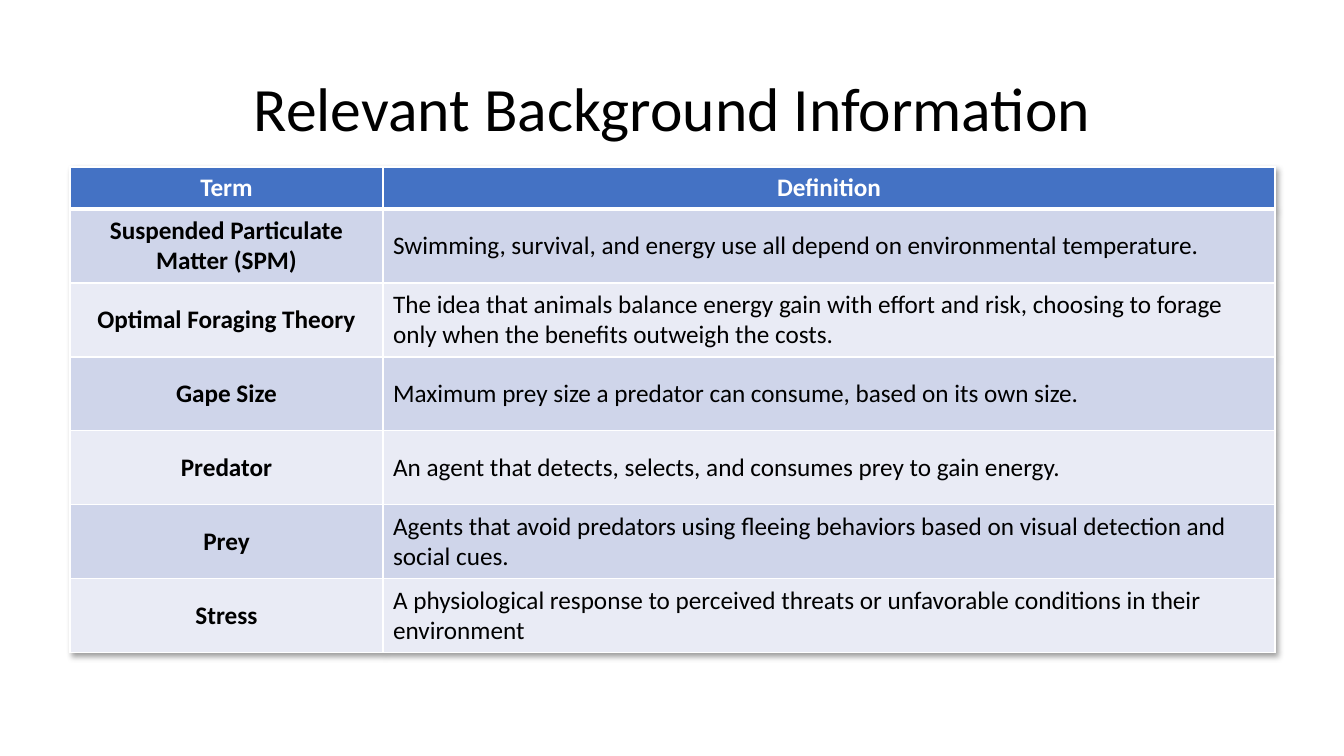
import pptx
import pptx.dml.color
import pptx.enum.text
import pptx.oxml
import pptx.oxml.ns
import pptx.util

RGB = pptx.dml.color.RGBColor
BLACK = RGB(0x00, 0x00, 0x00)
WHITE = RGB(0xFF, 0xFF, 0xFF)
BLUE = RGB(0x44, 0x72, 0xC4)
BANDS = [RGB(0xCF, 0xD5, 0xEA), RGB(0xE9, 0xEB, 0xF5)]
CENTER = pptx.enum.text.PP_ALIGN.CENTER
LEFT = pptx.enum.text.PP_ALIGN.LEFT
MIDDLE = pptx.enum.text.MSO_ANCHOR.MIDDLE

SLIDE_W, SLIDE_H = 1344, 756
HEAD_H, ROW_H = 42, 74
COL_W = [313, 892]
TERMS = [
    ("Term", "Definition"),
    ("Suspended Particulate Matter (SPM)",
     "Swimming, survival, and energy use all depend on environmental temperature."),
    ("Optimal Foraging Theory",
     "The idea that animals balance energy gain with effort and risk, "
     "choosing to forage only when the benefits outweigh the costs."),
    ("Gape Size", "Maximum prey size a predator can consume, based on its own size."),
    ("Predator", "An agent that detects, selects, and consumes prey to gain energy."),
    ("Prey",
     "Agents that avoid predators using fleeing behaviors based on visual "
     "detection and social cues."),
    ("Stress",
     "A physiological response to perceived threats or unfavorable conditions "
     "in their environment"),
]


def px(n):
    return pptx.util.Emu(round(n * 12192000 / SLIDE_W))


def write(tf, text, align, size, color, bold):
    p = tf.paragraphs[0]
    p.alignment = align
    r = p.add_run()
    r.text = text
    r.font.color.rgb = color
    font = {"name": "Calibri", "size": pptx.util.Pt(size), "bold": bold}
    for name, value in font.items():
        setattr(r.font, name, value)


prs = pptx.Presentation()
prs.slide_width, prs.slide_height = px(SLIDE_W), px(SLIDE_H)
s = prs.slides.add_slide(prs.slide_layouts[5])

# Title
title = s.shapes.title
box = {"left": 93, "top": 39, "width": 1159, "height": 146}
for name, value in box.items():
    setattr(title, name, px(value))
tf = title.text_frame
tf.auto_size = pptx.enum.text.MSO_AUTO_SIZE.NONE
tf.vertical_anchor = MIDDLE
write(tf, "Relevant Background Information", CENTER, 44, BLACK, False)
tf.paragraphs[0].line_spacing = 0.9

# Table with a soft shadow
table_h = HEAD_H + ROW_H * (len(TERMS) - 1)
tbl = s.shapes.add_table(len(TERMS), len(COL_W), px(70), px(167),
                         px(sum(COL_W)), px(table_h)).table
tbl.horz_banding = False
for col, width in zip(tbl.columns, COL_W):
    col.width = px(width)
ns = pptx.oxml.ns.nsdecls("a")
shadow = pptx.oxml.parse_xml(
    f'<a:effectLst {ns}><a:outerShdw blurRad="50800" dist="38100" dir="2700000" '
    'algn="tl" rotWithShape="0"><a:srgbClr val="000000"><a:alpha val="40000"/>'
    '</a:srgbClr></a:outerShdw></a:effectLst>')
tbl._tbl.tblPr.insert(0, shadow)

# Cells: header row, then banded rows
for i, row in enumerate(TERMS):
    head = i == 0
    tbl.rows[i].height = px(HEAD_H if head else ROW_H)
    for j, text in enumerate(row):
        cell = tbl.cell(i, j)
        cell.vertical_anchor = MIDDLE
        borders = {"L": 1, "R": 1, "T": 3 if i == 1 else 1, "B": 3 if head else 1}
        for side, width in borders.items():
            cell._tc.get_or_add_tcPr().append(pptx.oxml.parse_xml(
                f'<a:ln{side} {ns} w="{pptx.util.Pt(width)}"><a:solidFill>'
                f'<a:srgbClr val="{WHITE}"/></a:solidFill></a:ln{side}>'))
        cell.fill.solid()
        cell.fill.fore_color.rgb = BLUE if head else BANDS[(i - 1) % 2]
        strong = head or j == 0
        write(cell.text_frame, text, CENTER if strong else LEFT, 18,
              WHITE if head else BLACK, strong)

prs.save("out.pptx")
